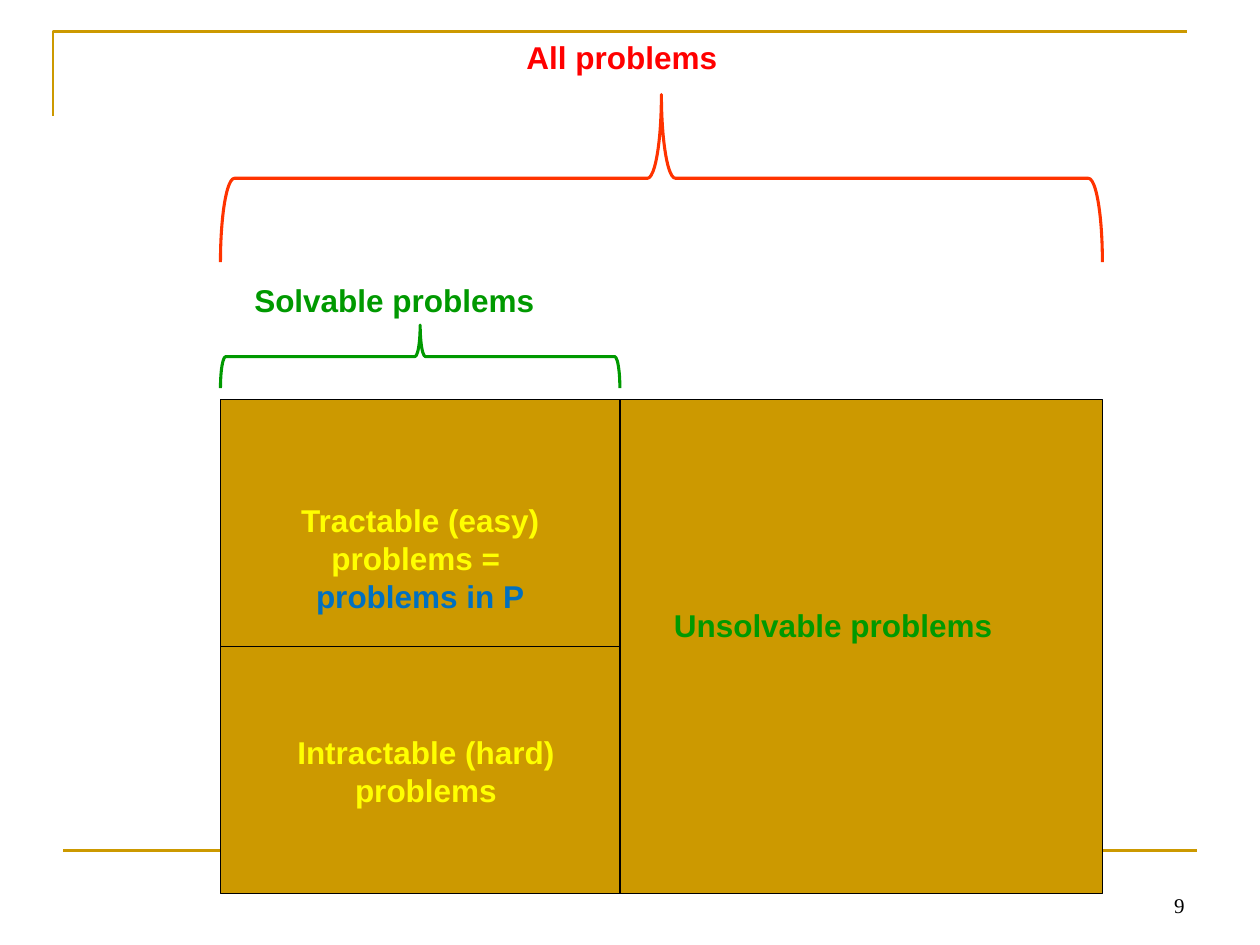
from lxml import etree
from pptx import Presentation
from pptx.dml.color import RGBColor
from pptx.enum import shapes, text
from pptx.oxml import ns
from pptx.util import Inches, Pt

GOLD = RGBColor(0xCC, 0x99, 0x00)
BLACK = RGBColor(0x00, 0x00, 0x00)
ORANGE_RED = RGBColor(0xFF, 0x33, 0x00)
RED = RGBColor(0xFF, 0x00, 0x00)
GREEN = RGBColor(0x00, 0x99, 0x00)
YELLOW = RGBColor(0xFF, 0xFF, 0x00)
BLUE = RGBColor(0x00, 0x70, 0xC0)


def style_line(shape, color, width):
    shape.line.color.rgb = color
    shape.line.width = Pt(width)


def add_line(slide, start, end, color, width):
    line = slide.shapes.add_connector(shapes.MSO_CONNECTOR.STRAIGHT, *start, *end)
    style_line(line, color, width)
    etree.SubElement(line._element.spPr, ns.qn("a:effectLst"))
    return line


def add_label(slide, box, lines, align=text.PP_ALIGN.LEFT, font="Arial", size=18,
              bold=True, anchor=text.MSO_ANCHOR.TOP):
    frame = slide.shapes.add_textbox(*box).text_frame
    frame.word_wrap = True
    frame.vertical_anchor = anchor
    for index, (words, color) in enumerate(lines):
        paragraph = frame.add_paragraph() if index else frame.paragraphs[0]
        paragraph.text = words
        paragraph.alignment = align
        paragraph.font.name = font
        paragraph.font.size = Pt(size)
        paragraph.font.bold = bold
        paragraph.font.color.rgb = color


def add_frame(slide, left, top, width, height):
    corner = slide.shapes.build_freeform(left, top + Inches(0.67))
    corner.add_line_segments([(left, top), (left + width, top)], close=False)
    outline = corner.convert_to_shape()
    outline.shadow.inherit = False
    outline.fill.background()
    style_line(outline, GOLD, 1.5)
    rule_left = left + Inches(0.08)
    bottom = top + height
    add_line(slide, (rule_left, bottom), (rule_left + width, bottom), GOLD, 1.5)
    number_width = Inches(2.33)
    number_box = (rule_left + width - number_width, bottom + Inches(0.08),
                  number_width, Inches(0.5))
    add_label(slide, number_box, [("9", BLACK)], text.PP_ALIGN.RIGHT,
              "Times New Roman", 12, False, text.MSO_ANCHOR.BOTTOM)


def add_upward_brace(slide, left, top, width, height, color):
    brace = slide.shapes.add_shape(
        shapes.MSO_SHAPE.RIGHT_BRACE,
        left + (width - height) // 2, top + (height - width) // 2, height, width)
    brace.rotation = 270
    brace.shadow.inherit = False
    brace.fill.background()
    style_line(brace, color, 1.75)


def add_problem_map(slide, left, top, width, height, solvable_width):
    area = slide.shapes.add_shape(shapes.MSO_SHAPE.RECTANGLE, left, top, width, height)
    area.shadow.inherit = False
    area.fill.solid()
    area.fill.fore_color.rgb = GOLD
    style_line(area, BLACK, 0.75)

    split = left + solvable_width
    middle = top + height // 2
    add_line(slide, (split, top), (split, top + height), BLACK, 0.75)
    divider = add_line(slide, (left, middle), (split, middle), BLACK, 0.75)
    divider.begin_connect(area, 1)

    add_label(slide, (left, top + Inches(0.76), solvable_width, Inches(1.01)),
              [("Tractable (easy) problems = ", YELLOW), ("problems in P", BLUE)],
              text.PP_ALIGN.CENTER)
    add_label(slide, (left - Inches(0.08), middle + Inches(0.64), Inches(3.42), Inches(0.71)),
              [("Intractable (hard) problems", YELLOW)], text.PP_ALIGN.CENTER)
    add_label(slide, (split + Inches(0.33), top + Inches(1.59), Inches(3.17), Inches(0.4)),
              [("Unsolvable problems", GREEN)])


def add_braces(slide, left, top, width, solvable_width):
    add_label(slide, (left + Inches(2.33), top, Inches(2.58), Inches(0.4)),
              [("All problems", RED)])
    add_upward_brace(slide, left, top + Inches(0.5), width, Inches(1.33), ORANGE_RED)
    add_label(slide, (left + Inches(0.17), top + Inches(1.93), solvable_width, Inches(0.4)),
              [("Solvable problems", GREEN)])
    add_upward_brace(slide, left, top + Inches(2.33), solvable_width, Inches(0.5), GREEN)


def main():
    presentation = Presentation()
    presentation.slide_width = Inches(10)
    presentation.slide_height = Inches(7.5)
    slide = presentation.slides.add_slide(presentation.slide_layouts[6])
    left, width, solvable_width = Inches(1.75), Inches(7), Inches(3.17)
    add_frame(slide, Inches(0.42), Inches(0.25), Inches(9), Inches(6.5))
    add_problem_map(slide, left, Inches(3.17), width, Inches(3.92), solvable_width)
    add_braces(slide, left, Inches(0.25), width, solvable_width)
    presentation.save("out.pptx")


if __name__ == "__main__":
    main()
